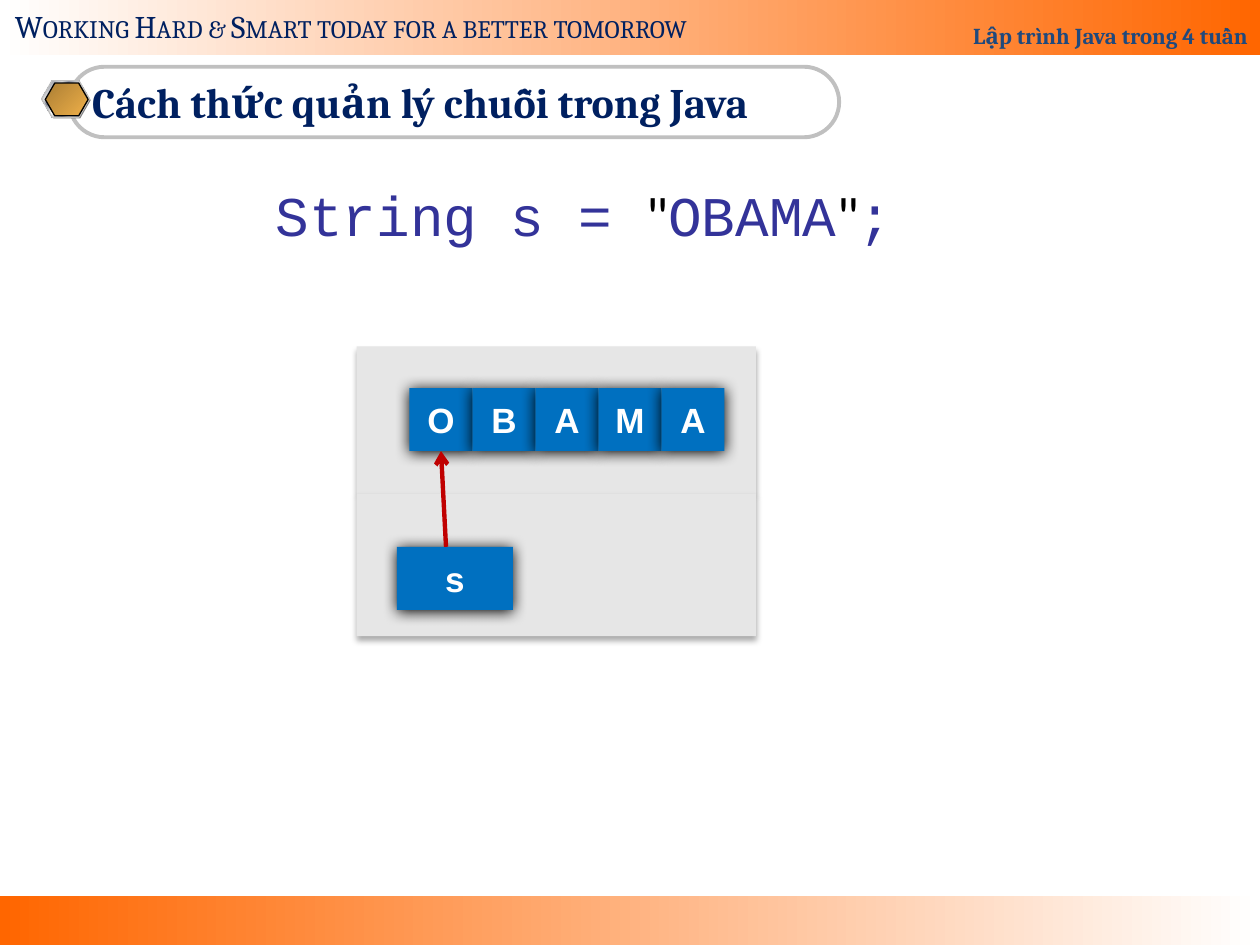
from copy import deepcopy
from lxml.etree import SubElement
from pptx import Presentation
from pptx.dml.color import RGBColor
from pptx.enum.shapes import MSO_CONNECTOR, MSO_SHAPE
from pptx.enum.text import MSO_ANCHOR, PP_ALIGN
from pptx.oxml.ns import qn
from pptx.util import Inches, Pt

HUES = {
    "white": "FFFFFF", "orange": "FF6600", "navy": "002060", "steel": "1F497D",
    "silver": "C0C0C0", "gray": "808080", "pale": "E6E6E6", "slate": "7D8496",
    "bronze": "AB7E34", "gold": "EFB049", "black": "000000", "blue": "0070C0",
    "red": "C00000", "indigo": "333399",
}
RGB = {name: RGBColor.from_string(code) for name, code in HUES.items()}

deck = Presentation()
deck.slide_width, deck.slide_height = Inches(10), Inches(7.5)
slide = deck.slides.add_slide(deck.slide_layouts[6])


def draw(kind, box, stops=(), edge=None, width=0.75, angle=0, shade=None):
    shape = slide.shapes.add_shape(kind, *[Inches(n) for n in box])
    shape.shadow.inherit = False
    if len(stops) > 1:
        shape.fill.gradient()
        shape.fill.gradient_angle = angle
        marks = shape._element.spPr.find(".//" + qn("a:gsLst"))
        for _ in stops[2:]:
            marks.append(deepcopy(marks[0]))
        for mark, (place, name) in zip(shape.fill.gradient_stops, stops):
            mark.position = place / 100
            mark.color.rgb = RGB[name]
    elif stops:
        shape.fill.solid()
        shape.fill.fore_color.rgb = RGB[stops[0]]
    else:
        shape.fill.background()
    if edge:
        shape.line.color.rgb = RGB[edge]
        shape.line.width = Pt(width)
    else:
        shape.line.fill.background()
    if shade:
        blur, dist, alpha = shade
        effects = shape._element.spPr.find(qn("a:effectLst"))
        outer = SubElement(effects, qn("a:outerShdw"), blurRad=str(Pt(blur)),
                           dist=str(Pt(dist)), dir="5400000", rotWithShape="0")
        tint = SubElement(outer, qn("a:srgbClr"), val=HUES["black"])
        SubElement(tint, qn("a:alpha"), val=str(alpha * 1000))
    return shape


def write(shape, text, size, face, hue, bold=False, align=PP_ALIGN.LEFT,
          anchor=MSO_ANCHOR.MIDDLE):
    frame = shape.text_frame
    frame.text = text
    frame.word_wrap = True
    frame.vertical_anchor = anchor
    line = frame.paragraphs[0]
    line.alignment = align
    font = line.runs[0].font
    font.size, font.name, font.bold = Pt(size), face, bold
    font.color.rgb = RGB[hue]
    return line


draw(MSO_SHAPE.RECTANGLE, (0, 7.11, 10, 0.39), [(0, "orange"), (100, "white")])
header = draw(MSO_SHAPE.RECTANGLE, (0, 0, 10, 0.44), [(0, "white"), (100, "orange")])
course = write(header, "Lập trình Java trong 4 tuần", 13, "Cambria", "steel", True,
               PP_ALIGN.RIGHT, MSO_ANCHOR.BOTTOM)
course.line_spacing = 1.8

motto = slide.shapes.add_textbox(Inches(0.02), Inches(0.01), Inches(5.9), Inches(0.4))
line = write(motto, "Working Hard & Smart today for a better tomorrow", 18,
             "Cambria", "navy", anchor=MSO_ANCHOR.TOP)
line.runs[0].font._element.set("cap", "small")

title = draw(MSO_SHAPE.ROUNDED_RECTANGLE, (0.55, 0.53, 6.11, 0.56),
             edge="silver", width=2.25)
title.adjustments[0] = 0.5
write(title, "Cách thức quản lý chuỗi trong Java", 24, "Cambria", "navy", True)

metal = list(zip((0, 7, 26, 34, 46, 50, 54, 66, 74, 93, 100),
                 ("pale", "slate", "pale", "slate", "pale", "white",
                  "pale", "slate", "pale", "slate", "pale")))
for box, stops, edge in (
    ((0.34, 0.65, 0.38, 0.29), ["gray"], None),
    ((0.33, 0.64, 0.38, 0.29), metal, "silver"),
    ((0.36, 0.66, 0.34, 0.26), [(0, "bronze"), (100, "gold")], "black"),
):
    badge = draw(MSO_SHAPE.HEXAGON, box, stops, edge, angle=315)
    badge.adjustments[0] = 0.289

for top, height in ((2.75, 1.17), (3.92, 1.13)):
    draw(MSO_SHAPE.RECTANGLE, (2.83, top, 3.17, height), ["pale"], shade=(3.5, 2.2, 32))

cells = [("s", 3.15, 4.34, 0.92)]
cells += [(mark, 3.25 + 0.5 * i, 3.08, 0.5) for i, mark in enumerate("OBAMA")]
for mark, left, top, width in cells:
    cell = draw(MSO_SHAPE.RECTANGLE, (left, top, width, 0.5), ["blue"],
                shade=(8.5, 1, 100))
    write(cell, mark, 20, "Arial", "white", True, PP_ALIGN.CENTER)

arrow = slide.shapes.add_connector(MSO_CONNECTOR.STRAIGHT, Inches(3.54), Inches(4.34),
                                   Inches(3.5), Inches(3.58))
arrow.line.color.rgb = RGB["red"]
arrow.line.width = Pt(2.5)
SubElement(arrow.line._get_or_add_ln(), qn("a:tailEnd"), type="arrow")
SubElement(arrow._element.spPr, qn("a:effectLst"))

code = slide.shapes.add_textbox(Inches(1.09), Inches(1.49), Inches(6.16), Inches(0.53))
line = write(code, "String s = ", 32, "Courier New", "indigo", anchor=MSO_ANCHOR.TOP)
line.line_spacing = 0.8
line._p.get_or_add_pPr().set("marL", str(Inches(1)))
for text, face, hue in (
    ('"', "Calibri", "black"), ("OBAMA", "Courier New", "indigo"),
    ('"', "Calibri", "black"), (";", "Courier New", "indigo"),
):
    run = line.add_run()
    run.text = text
    run.font.size, run.font.name = Pt(32), face
    run.font.color.rgb = RGB[hue]

deck.save("out.pptx")
